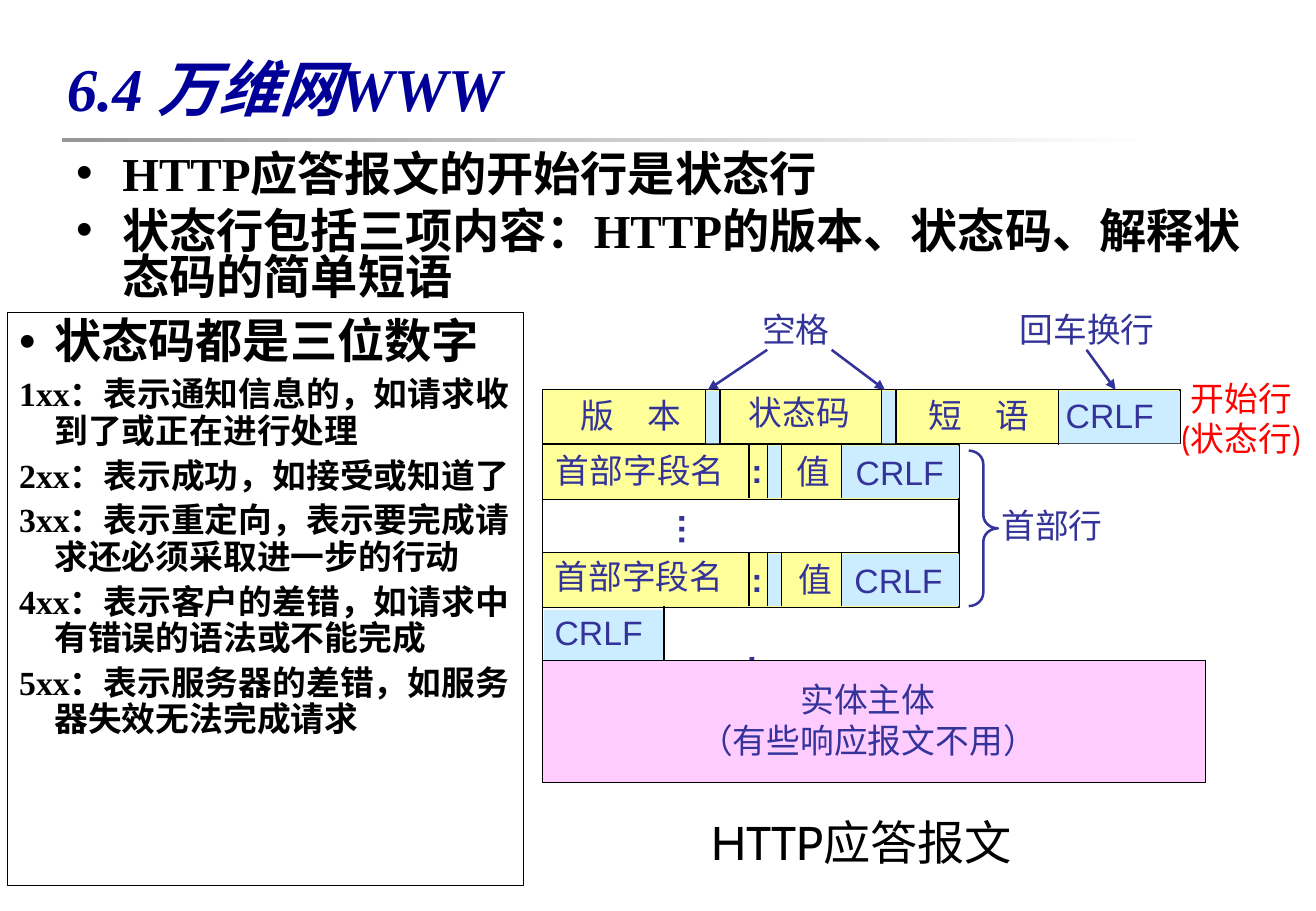
"""Build the slide on the layout of an HTTP response message."""
from lxml.etree import SubElement
from pptx import Presentation
from pptx.dml.color import RGBColor
from pptx.enum.shapes import MSO_CONNECTOR, MSO_SHAPE
from pptx.enum.text import MSO_ANCHOR, MSO_AUTO_SIZE, PP_ALIGN
from pptx.oxml.ns import qn
from pptx.util import Pt

PX = 9144
BLACK = RGBColor(0, 0, 0)
NAVY = RGBColor(0, 0, 0x99)
INK = RGBColor(0x33, 0x33, 0x99)
RED = RGBColor(0xFF, 0, 0)
GREY = RGBColor(0x96, 0x96, 0x96)
WHITE = RGBColor(0xFF, 0xFF, 0xFF)
YELLOW = RGBColor(0xFF, 0xFF, 0x99)
BLUE = RGBColor(0xCC, 0xEC, 0xFF)
PINK = RGBColor(0xFF, 0xCC, 0xFF)
SERIF = "Times New Roman"


def write(frame, lines, size, font, color, bold=False, align=PP_ALIGN.LEFT):
    for i, words in enumerate(lines):
        para = frame.add_paragraph() if i else frame.paragraphs[0]
        para.alignment = align
        run = para.add_run()
        run.text = words
        run.font.size = Pt(size)
        run.font.name = font
        run.font.bold = bold
        run.font.color.rgb = color


def shape(kind, left, top, width, height, fill=None, edge=None, weight=0.75):
    item = slide.shapes.add_shape(kind, left * PX, top * PX, width * PX, height * PX)
    item.shadow.inherit = False
    if fill is None:
        item.fill.background()
    else:
        item.fill.solid()
        item.fill.fore_color.rgb = fill
    if edge is None:
        item.line.fill.background()
    else:
        item.line.color.rgb = edge
        item.line.width = Pt(weight)
    return item


deck = Presentation()
deck.slide_width = 1084 * PX
deck.slide_height = 750 * PX
slide = deck.slides.add_slide(deck.slide_layouts[5])
RECT = MSO_SHAPE.RECTANGLE

bar = shape(RECT, 51, 114, 900, 3)
bar.fill.gradient()
bar.fill.gradient_angle = 0
for stop, color in zip(bar.fill.gradient_stops, (GREY, WHITE)):
    stop.color.rgb = color

title = slide.shapes.title
title.left, title.top, title.width, title.height = 45 * PX, 28 * PX, 984 * PX, 87 * PX
title.text_frame.vertical_anchor = MSO_ANCHOR.MIDDLE
title.text_frame.auto_size = MSO_AUTO_SIZE.NONE
write(title.text_frame, ["6.4 万维网WWW"], 36, SERIF, NAVY, True)
title.text_frame.paragraphs[0].runs[0].font.italic = True

intro = slide.shapes.add_textbox(53 * PX, 123 * PX, 987 * PX, 142 * PX)
write(intro.text_frame, [
    "HTTP应答报文的开始行是状态行",
    "状态行包括三项内容：HTTP的版本、状态码、解释状态码的简单短语",
], 28, SERIF, BLACK, True)

codes = shape(RECT, 6, 257, 425, 472, edge=BLACK)
write(codes.text_frame, [
    "状态码都是三位数字",
    "1xx：表示通知信息的，如请求收到了或正在进行处理",
    "2xx：表示成功，如接受或知道了",
    "3xx：表示重定向，表示要完成请求还必须采取进一步的行动",
    "4xx：表示客户的差错，如请求中有错误的语法或不能完成",
    "5xx：表示服务器的差错，如服务器失效无法完成请求",
], 20, SERIF, BLACK, True)
codes.text_frame.paragraphs[0].runs[0].font.size = Pt(28)

for box, indent, pitch, gap in ((intro, 38, 0.8, 7), (codes, 29, 0.9, 5)):
    box.text_frame.word_wrap = True
    box.text_frame.vertical_anchor = MSO_ANCHOR.TOP
    for para in box.text_frame.paragraphs:
        para.line_spacing = pitch
        para.space_before = Pt(gap)
        props = para._p.get_or_add_pPr()
        props.set("marL", str(indent * PX))
        props.set("indent", str(-indent * PX))
        if para.runs[0].font.size == Pt(28):
            SubElement(props, qn("a:buFont")).set("typeface", "Arial")
            SubElement(props, qn("a:buChar")).set("char", "•")
codes.text_frame.paragraphs[0].space_before = Pt(6)

FIELDS = (366, 455)
shape(RECT, 447, 321, 525, 44, YELLOW, BLACK)
for left, width in ((581, 12), (726, 12), (872, 100)):
    shape(RECT, left, 322, width, 43, BLUE)
for top in FIELDS:
    shape(RECT, 447, top, 343, 45, YELLOW, BLACK)
    for left, width in ((632, 12), (693, 97)):
        shape(RECT, left, top + 1, width, 43, BLUE)
shape(RECT, 448, 502, 99, 42, BLUE)

rules = [(x, 321, x, 366, BLACK) for x in (581, 593, 726, 738, 872)]
rules += [(x, top, x, top + 44, BLACK) for top in FIELDS for x in (617, 632, 644, 693)]
rules += [(x, 410, x, 455, BLACK) for x in (447, 790)]
rules += [(x, 499, x, 544, BLACK) for x in (447, 547)]
rules += [(685, 288, 729, 321, INK), (632, 288, 583, 321, INK), (895, 288, 919, 321, INK)]
for *ends, color in rules:
    rule = slide.shapes.add_connector(MSO_CONNECTOR.STRAIGHT, *(n * PX for n in ends))
    rule.line.color.rgb = color
    rule.line.width = Pt(1.5 if color == INK else 0.75)
    props = rule.element.spPr
    if color == INK:
        SubElement(props.find(qn("a:ln")), qn("a:tailEnd")).set("type", "triangle")
    SubElement(props, qn("a:effectLst"))

brace = shape(MSO_SHAPE.RIGHT_BRACE, 798, 371, 24, 128, edge=INK, weight=1.5)
brace.adjustments[0] = 0.46

labels = [
    (605, 523, 29, ":"),
    (468, 320, 104, "版　本"),
    (607, 318, 103, "状态码"),
    (755, 320, 104, "短　语"),
    (868, 320, 92, "CRLF"),
    (448, 365, 159, "首部字段名"),
    (609, 365, 29, ":"),
    (646, 366, 48, "值"),
    (695, 367, 92, "CRLF"),
    (529, 414, 48, "…"),
    (815, 411, 103, "首部行"),
    (447, 453, 159, "首部字段名"),
    (609, 455, 29, ":"),
    (648, 455, 48, "值"),
    (694, 456, 93, "CRLF"),
    (447, 499, 92, "CRLF"),
    (618, 249, 75, "空格"),
    (830, 249, 131, "回车换行"),
]
notes = [(*spot, 44, [words], 20, "Arial", INK, words in ":…", PP_ALIGN.LEFT)
         for *spot, words in labels]
notes += [
    (576, 665, 280, 57, ["HTTP应答报文"], 28, "Cabin", BLACK, False, PP_ALIGN.LEFT),
    (956, 306, 133, 77, ["开始行", "(状态行)"], 20, "Cabin", RED, False, PP_ALIGN.CENTER),
    (566, 554, 298, 77, ["实体主体", "（有些响应报文不用）"], 20, "Arial", INK, False,
     PP_ALIGN.CENTER),
]
for left, top, width, height, lines, *style in notes:
    if lines[0] == "实体主体":
        shape(RECT, 447, 544, 546, 100, PINK, BLACK)
    note = slide.shapes.add_textbox(left * PX, top * PX, width * PX, height * PX)
    frame = note.text_frame
    frame.word_wrap = True
    frame.auto_size = MSO_AUTO_SIZE.NONE
    frame.margin_right = 0
    if style[-1] == PP_ALIGN.CENTER:
        frame.margin_left = 0
    write(frame, lines, *style)
    if lines[0] == "…":
        note.rotation = 270

deck.save("out.pptx")
